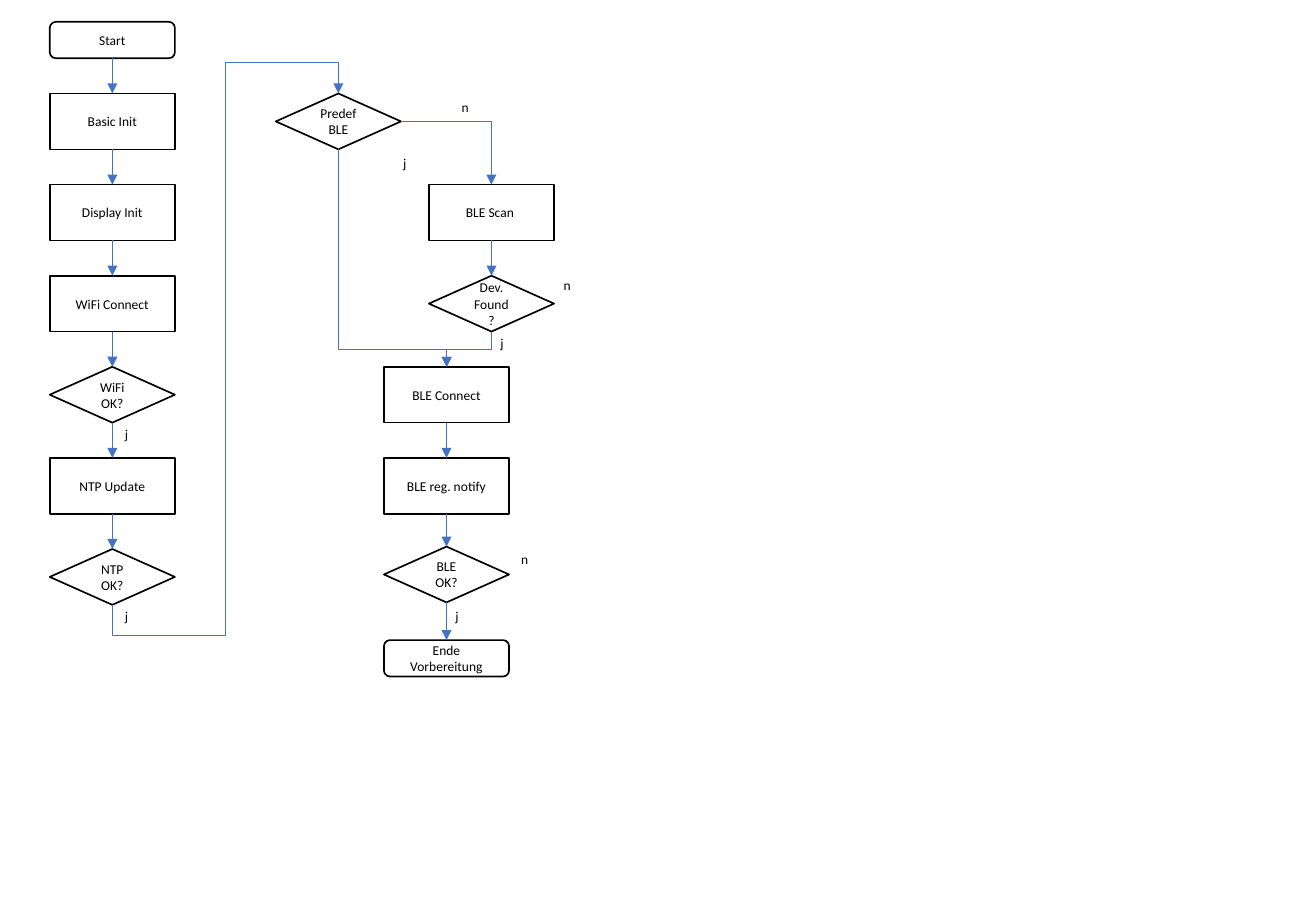
import itertools
from dataclasses import dataclass

import pptx
import pptx.dml.color
import pptx.enum.shapes
import pptx.enum.text
import pptx.oxml.ns
import pptx.util
from lxml import etree

Inches = pptx.util.Inches
SHAPES = pptx.enum.shapes.MSO_SHAPE
CONNECTORS = pptx.enum.shapes.MSO_CONNECTOR
TERMINAL = SHAPES.FLOWCHART_ALTERNATE_PROCESS
PROCESS = SHAPES.FLOWCHART_PROCESS
DECISION = SHAPES.FLOWCHART_DECISION
TOP_SITE, BOTTOM_SITE = 0, 2

NODE_WIDTH, NODE_HEIGHT, TERMINAL_HEIGHT = 1.03, 0.46, 0.3
FIRST_ROW, ROW_STEP = 0.77, 0.75
INIT_LEFT, PREDEF_LEFT, CONNECT_LEFT, SCAN_LEFT = 0.41, 2.27, 3.16, 3.53


@dataclass(frozen=True)
class Theme:
    """Colours, font and line sizes of the flowchart."""
    ink: pptx.dml.color.RGBColor = pptx.dml.color.RGBColor(0, 0, 0)
    paper: pptx.dml.color.RGBColor = pptx.dml.color.RGBColor(255, 255, 255)
    arrow: pptx.dml.color.RGBColor = pptx.dml.color.RGBColor(0x44, 0x72, 0xC4)
    font: str = "Calibri"
    text_size: pptx.util.Pt = pptx.util.Pt(8)
    outline: pptx.util.Pt = pptx.util.Pt(1)
    arrow_width: pptx.util.Pt = pptx.util.Pt(0.5)


THEME = Theme()


def row_top(row):
    """Return the top of a grid row in inches."""
    return FIRST_ROW + row * ROW_STEP


def add_run(paragraph, text):
    """Add one run in the flowchart's type style."""
    run = paragraph.add_run()
    run.text = text
    run.font.name = THEME.font
    run.font.size = THEME.text_size
    run.font.color.rgb = THEME.ink


def add_node(slide, kind, text, left, top):
    """Add an outlined flowchart symbol with centred text."""
    height = TERMINAL_HEIGHT if kind == TERMINAL else NODE_HEIGHT
    shape = slide.shapes.add_shape(
        kind, Inches(left), Inches(top), Inches(NODE_WIDTH), Inches(height))
    shape.shadow.inherit = False
    shape.fill.solid()
    shape.fill.fore_color.rgb = THEME.paper
    shape.line.color.rgb = THEME.ink
    shape.line.width = THEME.outline
    frame = shape.text_frame
    frame.word_wrap = True
    frame.vertical_anchor = pptx.enum.text.MSO_ANCHOR.MIDDLE
    paragraph = frame.paragraphs[0]
    paragraph.alignment = pptx.enum.text.PP_ALIGN.CENTER
    add_run(paragraph, text)
    return shape


def add_label(slide, text, left, top):
    """Add a branch label for a decision."""
    width = 0.26 if text == "n" else 0.23
    box = slide.shapes.add_textbox(
        Inches(left), Inches(top), Inches(width), Inches(0.24))
    box.text_frame.word_wrap = False
    box.text_frame.auto_size = pptx.enum.text.MSO_AUTO_SIZE.SHAPE_TO_FIT_TEXT
    add_run(box.text_frame.paragraphs[0], text)


def style_arrow(connector):
    """Give a connector its line, its arrowhead and no shadow."""
    connector.line.color.rgb = THEME.arrow
    connector.line.width = THEME.arrow_width
    properties = connector._element.spPr
    line = properties.find(pptx.oxml.ns.qn("a:ln"))
    etree.SubElement(line, pptx.oxml.ns.qn("a:tailEnd"), type="triangle")
    etree.SubElement(properties, pptx.oxml.ns.qn("a:effectLst"))


def add_down_arrow(slide, upper, lower):
    """Join the bottom of one node to the top of the next."""
    connector = slide.shapes.add_connector(CONNECTORS.STRAIGHT, 0, 0, 0, 0)
    connector.begin_connect(upper, BOTTOM_SITE)
    connector.end_connect(lower, TOP_SITE)
    style_arrow(connector)


def add_elbow(slide, start, end, preset, adjustments=(), leaves_down=True):
    """Add a bent arrow between two points, leaving downwards or sideways."""
    connector = slide.shapes.add_connector(CONNECTORS.ELBOW, *start, *end)
    properties = connector._element.spPr
    if leaves_down:
        across, down = end[0] - start[0], end[1] - start[1]
        connector.width, connector.height = abs(down), abs(across)
        connector.left = (start[0] + end[0] - abs(down)) // 2
        connector.top = (start[1] + end[1] - abs(across)) // 2
        transform = properties.find(pptx.oxml.ns.qn("a:xfrm"))
        transform.set("rot", str(90 * 60000))
        transform.set("flipH", str(int(down < 0)))
        transform.set("flipV", str(int(across > 0)))
    geometry = properties.find(pptx.oxml.ns.qn("a:prstGeom"))
    geometry.set("prst", preset)
    guides = geometry.find(pptx.oxml.ns.qn("a:avLst"))
    for number, share in enumerate(adjustments, 1):
        etree.SubElement(guides, pptx.oxml.ns.qn("a:gd"), name=f"adj{number}",
                         fmla=f"val {round(share * 100000)}")
    style_arrow(connector)


def top_of(shape):
    """Return the top centre of a node."""
    return shape.left + shape.width // 2, shape.top


def bottom_of(shape):
    """Return the bottom centre of a node."""
    return shape.left + shape.width // 2, shape.top + shape.height


def right_of(shape):
    """Return the right centre of a node."""
    return shape.left + shape.width, shape.top + shape.height // 2


def add_column(slide, left, steps):
    """Stack nodes, given as kind, text and top, with arrows between them."""
    nodes = [add_node(slide, kind, text, left, top) for kind, text, top in steps]
    for upper, lower in itertools.pairwise(nodes):
        add_down_arrow(slide, upper, lower)
    return nodes


def main():
    """Build the start-up flowchart."""
    presentation = pptx.Presentation()
    presentation.slide_width = Inches(10.83)
    presentation.slide_height = Inches(7.5)
    slide = presentation.slides.add_slide(presentation.slide_layouts[6])

    init_nodes = add_column(slide, INIT_LEFT, [
        (TERMINAL, "Start", 0.18),
        (PROCESS, "Basic Init", row_top(0)),
        (PROCESS, "Display Init", row_top(1)),
        (PROCESS, "WiFi Connect", row_top(2)),
        (DECISION, "WiFi OK?", row_top(3)),
        (PROCESS, "NTP Update", row_top(4)),
        (DECISION, "NTP OK?", row_top(5)),
    ])
    scan, found = add_column(slide, SCAN_LEFT, [
        (PROCESS, "BLE Scan ", row_top(1)),
        (DECISION, "Dev. Found?", row_top(2)),
    ])
    predef = add_node(slide, DECISION, "Predef BLE", PREDEF_LEFT, row_top(0))
    connect_nodes = add_column(slide, CONNECT_LEFT, [
        (PROCESS, "BLE Connect", row_top(3)),
        (PROCESS, "BLE reg. notify", row_top(4)),
        (DECISION, "BLE OK?", 4.5),
        (TERMINAL, "Ende Vorbereitung", 5.27),
    ])

    ntp_ok, connect = init_nodes[-1], connect_nodes[0]
    add_elbow(slide, bottom_of(ntp_ok), top_of(predef),
              "bentConnector5", (-0.06, 0.5, 1.06))
    add_elbow(slide, right_of(predef), top_of(scan),
              "bentConnector2", leaves_down=False)
    add_elbow(slide, bottom_of(found), top_of(connect),
              "bentConnector3", (0.5,))
    add_elbow(slide, bottom_of(predef), top_of(connect),
              "bentConnector3", (0.92,))

    for text, left, top in [
        ("j", 0.93, 3.46), ("j", 0.93, 4.96),
        ("n", 3.7, 0.77), ("j", 3.22, 1.23),
        ("n", 4.54, 2.23), ("j", 4.02, 2.71),
        ("n", 4.19, 4.49), ("j", 3.65, 4.96),
    ]:
        add_label(slide, text, left, top)

    presentation.save("out.pptx")


main()
